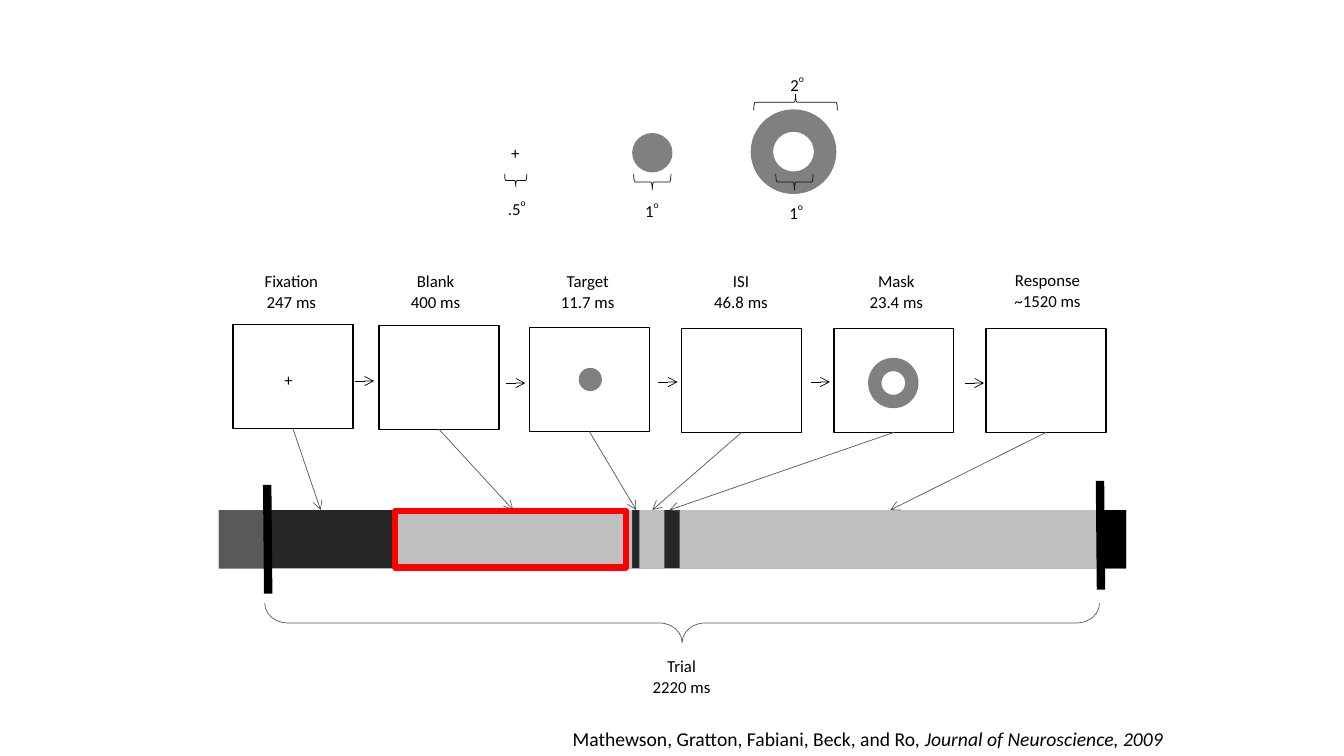
import pptx
import pptx.dml.color
import pptx.enum.shapes
import pptx.enum.text
import pptx.oxml.ns
import pptx.util
from lxml import etree

Inches = pptx.util.Inches
Pt = pptx.util.Pt
RGBColor = pptx.dml.color.RGBColor
SHAPE = pptx.enum.shapes.MSO_SHAPE
ALIGN = pptx.enum.text.PP_ALIGN

BLACK = RGBColor(0x00, 0x00, 0x00)
INK = RGBColor(0x0D, 0x0D, 0x0D)
CHARCOAL = RGBColor(0x26, 0x26, 0x26)
SLATE = RGBColor(0x59, 0x59, 0x59)
GRAY = RGBColor(0x80, 0x80, 0x80)
SILVER = RGBColor(0xBF, 0xBF, 0xBF)
RED = RGBColor(0xFF, 0x00, 0x00)

deck = pptx.Presentation()
deck.slide_width = Inches(13.33)
deck.slide_height = Inches(7.5)
page = deck.slides.add_slide(deck.slide_layouts[6])


def draw_shape(kind, place, fill=None, line=None, width=0.5, turn=0, adjust=()):
    shape = page.shapes.add_shape(kind, *[Inches(value) for value in place])
    shape.shadow.inherit = False
    shape.rotation = turn
    for index, value in enumerate(adjust):
        shape.adjustments[index] = value
    for paint, color in ((shape.fill, fill), (shape.line.fill, line)):
        if color is None:
            paint.background()
        else:
            paint.solid()
            paint.fore_color.rgb = color
    if line is not None:
        shape.line.width = Pt(width)
    return shape


def write_text(place, paragraphs, inset=(0.15, 0.08), align=ALIGN.LEFT, size=12):
    """Each paragraph is a list of (text, style), style: "", "super" or "italic"."""
    box = page.shapes.add_textbox(*[Inches(value) for value in place])
    frame_format = {
        "word_wrap": True,
        "auto_size": pptx.enum.text.MSO_AUTO_SIZE.SHAPE_TO_FIT_TEXT,
        "margin_left": Inches(inset[0]), "margin_right": Inches(inset[0]),
        "margin_top": Inches(inset[1]), "margin_bottom": Inches(inset[1]),
    }
    for name, value in frame_format.items():
        setattr(box.text_frame, name, value)
    for index, pieces in enumerate(paragraphs):
        para = box.text_frame.add_paragraph() if index else box.text_frame.paragraphs[0]
        para.alignment = align
        for text, style in pieces:
            span = para.add_run()
            span.text = text
            for name, value in {"name": "Calibri", "size": Pt(size)}.items():
                setattr(span.font, name, value)
            span.font.color.rgb = BLACK
            if style == "italic":
                span.font.italic = True
            elif style == "super":
                span._r.get_or_add_rPr().set("baseline", "56000")


# Trial phases: name, duration, label left and top, frame left and top, arrow tip on the bar
phases = [
    ("Fixation", "247 ms", 2.34, 2.61, 2.31, 3.22, 3.18),
    ("Blank", "400 ms", 3.77, 2.61, 3.76, 3.23, 5.09),
    ("Target", "11.7 ms", 5.28, 2.61, 5.25, 3.25, 6.31),
    ("ISI", "46.8 ms", 6.8, 2.61, 6.76, 3.26, 6.47),
    ("Mask", "23.4 ms", 8.34, 2.61, 8.27, 3.26, 6.64),
    ("Response", "~1520 ms", 9.84, 2.6, 9.78, 3.26, 8.83),
]
BAR_TOP, BAR_HEIGHT = 5.06, 0.58
# Lines: x1, y1, x2, y2, color, width, has arrowhead, frame joined at the start
lines = []
for name, duration, label_left, label_top, left, top, tip in phases:
    write_text((label_left, label_top, 1.1, 0.57), [[(name, "")], [(duration, "")]],
               align=ALIGN.CENTER)
    frame = draw_shape(SHAPE.RECTANGLE, (left, top, 1.19, 1.03), line=BLACK, width=1)
    lines.append((left + 0.6, top + 1.03, tip, BAR_TOP, SLATE, 0.5, True, frame))

# Stimuli inside the frames
write_text((2.67, 3.59, 0.35, 0.37), [[("+", "")]])
draw_shape(SHAPE.OVAL, (5.74, 3.65, 0.23, 0.23), fill=GRAY)
draw_shape(SHAPE.DONUT, (8.61, 3.55, 0.5, 0.5), fill=GRAY, turn=90, adjust=[0.265])

# Timeline bar: left, width, color
segments = [(2.17, 9, CHARCOAL), (3.92, 2.35, SILVER), (6.34, 0.25, SILVER),
            (6.74, 4.19, SILVER), (2.17, 0.46, SLATE), (10.95, 0.22, BLACK)]
for left, width, color in segments:
    draw_shape(SHAPE.RECTANGLE, (left, BAR_TOP, width, BAR_HEIGHT), fill=color)

# Arrows between frames, and trial limits on the bar
for left, y in [(3.52, 3.78), (5.02, 3.8), (6.53, 3.79), (8.04, 3.79), (9.57, 3.8)]:
    lines.append((left, y, left + 0.19, y, BLACK, 0.5, True, None))
for left, top in [(2.65, 4.81), (10.91, 4.77)]:
    lines.append((left, top, left + 0.01, top + 1.08, BLACK, 6, False, None))

for x1, y1, x2, y2, color, width, has_arrow, frame in lines:
    connector = page.shapes.add_connector(
        pptx.enum.shapes.MSO_CONNECTOR.STRAIGHT,
        Inches(x1), Inches(y1), Inches(x2), Inches(y2))
    if frame is not None:
        connector.begin_connect(frame, 2)
    connector.line.color.rgb = color
    connector.line.width = Pt(width)
    if has_arrow:
        etree.SubElement(connector.line._get_or_add_ln(),
                         pptx.oxml.ns.qn("a:tailEnd"), type="arrow")
    etree.SubElement(connector._element.spPr, pptx.oxml.ns.qn("a:effectLst"))

# Whole trial
draw_shape(SHAPE.RIGHT_BRACE, (6.57, 2.04, 0.39, 8.28), line=SLATE, turn=90,
           adjust=[0.591, 0.5])
write_text((6.21, 6.43, 1.1, 0.57), [[("Trial", "")], [("2220 ms", "")]],
           align=ALIGN.CENTER)

# Stimulus sizes in degrees
write_text((4.92, 1.34, 0.77, 0.37), [[("+", "")]])
draw_shape(SHAPE.OVAL, (6.27, 1.32, 0.4, 0.39), fill=GRAY)
draw_shape(SHAPE.DONUT, (7.45, 1.08, 0.84, 0.85), fill=GRAY, turn=90, adjust=[0.265])
sizes = [
    (".5", (4.94, 1.9), (5.05, 1.68, 0.13, 0.22), 270),
    ("1", (6.3, 1.92), (6.39, 1.62, 0.16, 0.37), 270),
    ("1", (7.73, 1.94), (7.8, 1.62, 0.16, 0.37), 270),
    ("2", (7.74, 0.67), (7.81, 0.6, 0.16, 0.83), 90),
]
for degrees, corner, brace, turn in sizes:
    draw_shape(SHAPE.LEFT_BRACE, brace, line=INK, turn=turn)
    write_text((*corner, 0.47, 0.31), [[(degrees, ""), ("o", "super")]], inset=(0.1, 0.05))

# Highlighted blank period
draw_shape(SHAPE.RECTANGLE, (3.92, 5.07, 2.29, 0.56), line=RED, width=4.5)

# Citation
write_text((5.58, 7.16, 6.08, 0.34),
           [[("Mathewson, Gratton, Fabiani, Beck, and Ro, ", ""),
             ("Journal of Neuroscience, 2009", "italic")]],
           inset=(0.1, 0.05), size=14)

deck.save("out.pptx")
